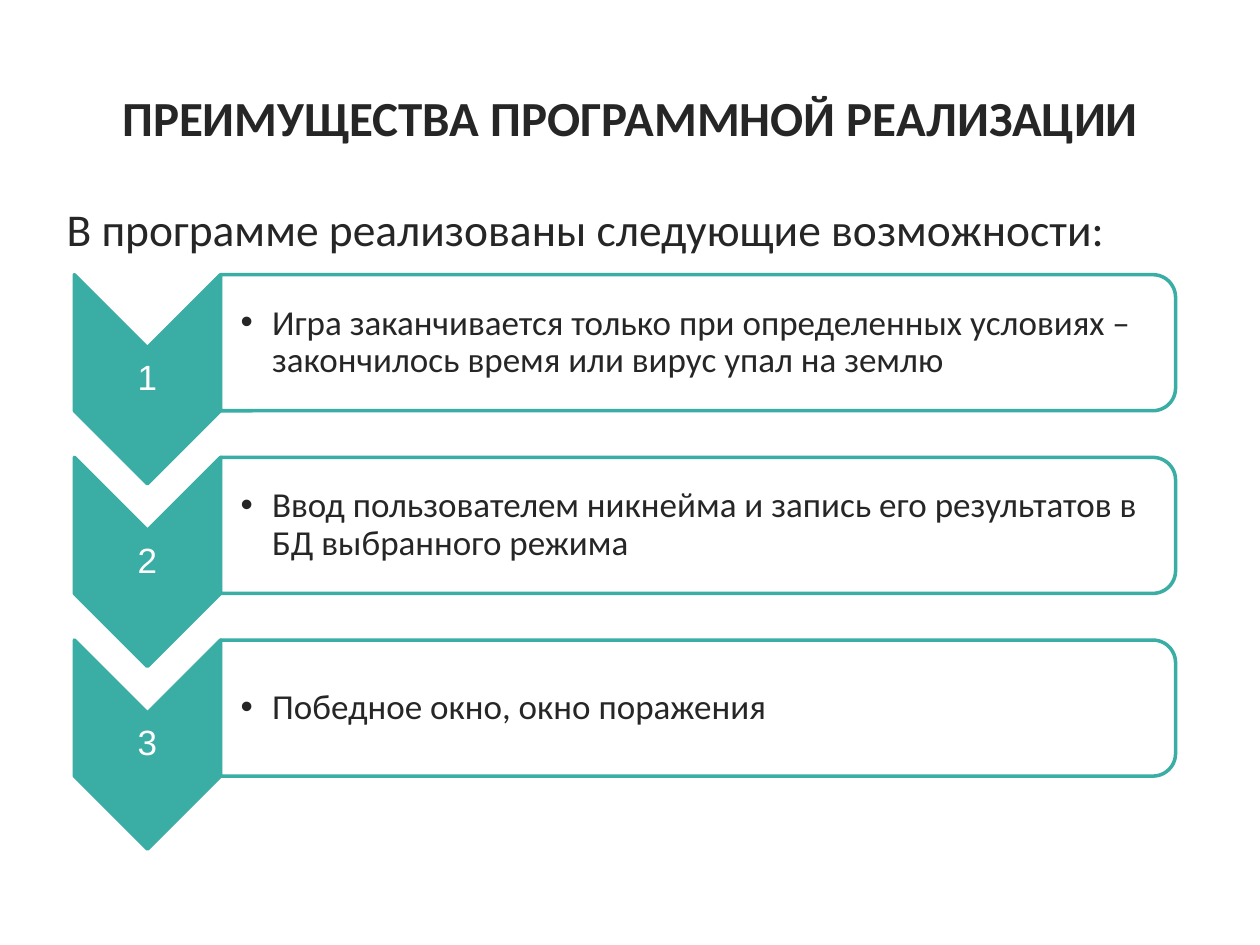
from dataclasses import dataclass

from lxml.etree import SubElement
from pptx import Presentation
from pptx.dml.color import RGBColor
from pptx.enum.shapes import MSO_SHAPE
from pptx.enum.text import MSO_ANCHOR, PP_ALIGN
from pptx.oxml.ns import qn
from pptx.util import Inches, Pt


@dataclass(frozen=True)
class Theme:
    teal: RGBColor = RGBColor(0x3A, 0xAD, 0xA5)
    ink: RGBColor = RGBColor(0x26, 0x26, 0x26)
    white: RGBColor = RGBColor(0xFF, 0xFF, 0xFF)
    text_font: str = "Calibri"
    number_font: str = "Arial"
    title_size: int = 28
    lead_size: int = 26
    step_size: int = 20
    outline: int = 2


THEME = Theme()
STEPS = [
    "Игра заканчивается только при определенных условиях – закончилось время или вирус упал на землю",
    "Ввод пользователем никнейма и запись его результатов в БД выбранного режима",
    "Победное окно, окно поражения",
]


def apply(target, values):
    for name, value in values.items():
        setattr(target, name, value)


def add_text(page, box, text, font, frame_format=None, para_format=None):
    frame = page.shapes.add_textbox(*map(Inches, box)).text_frame
    apply(frame, {"word_wrap": True, **(frame_format or {})})
    para = frame.paragraphs[0]
    apply(para, para_format or {})
    span = para.add_run()
    span.text = text
    color = font.pop("color")
    apply(span.font, font)
    span.font.color.rgb = color
    return para


def add_turned_shape(page, kind, box, fill):
    left, top, width, height = box
    shift = (width - height) / 2
    shape = page.shapes.add_shape(
        kind, *map(Inches, (left + shift, top - shift, height, width)))
    shape.rotation = 90
    shape.shadow.inherit = False
    shape.fill.solid()
    shape.fill.fore_color.rgb = fill
    shape.line.color.rgb = THEME.teal
    shape.line.width = Pt(THEME.outline)
    return shape


def add_bullet(para, indent):
    properties = para._p.get_or_add_pPr()
    properties.set("marL", str(Inches(indent)))
    properties.set("indent", str(-Inches(indent)))
    SubElement(properties, qn("a:buFont")).set("typeface", THEME.number_font)
    SubElement(properties, qn("a:buChar")).set("char", "•")


def add_title(page, box):
    add_text(page, box, "ПРЕИМУЩЕСТВА ПРОГРАММНОЙ РЕАЛИЗАЦИИ",
             {"size": Pt(THEME.title_size), "name": THEME.text_font,
              "bold": True, "color": THEME.ink},
             {"vertical_anchor": MSO_ANCHOR.MIDDLE},
             {"alignment": PP_ALIGN.CENTER})


def add_lead(page, box):
    add_text(page, box, "В программе реализованы следующие возможности:",
             {"size": Pt(THEME.lead_size), "name": THEME.text_font,
              "color": THEME.ink},
             para_format={"space_before": Pt(THEME.lead_size * 0.2)})


def add_step(page, box, number, text):
    left, top, width, height = box
    arrow_width, panel_height = 1.16, 1.08
    panel_left, panel_width = left + arrow_width, width - arrow_width
    margin = Inches(0.01)
    frame_format = {"vertical_anchor": MSO_ANCHOR.MIDDLE,
                    "margin_left": margin, "margin_right": margin,
                    "margin_top": margin, "margin_bottom": margin}

    add_turned_shape(page, MSO_SHAPE.CHEVRON,
                     (left, top, arrow_width, height), THEME.teal)
    add_text(page, (left, top + arrow_width / 2, arrow_width, 0.5), str(number),
             {"size": Pt(THEME.step_size), "name": THEME.number_font,
              "color": THEME.white},
             frame_format,
             {"alignment": PP_ALIGN.CENTER, "line_spacing": 0.9})

    panel = add_turned_shape(page, MSO_SHAPE.ROUND_2_SAME_RECTANGLE,
                             (panel_left, top, panel_width, panel_height),
                             THEME.white)
    color = panel.fill._xPr.find(".//" + qn("a:srgbClr"))
    SubElement(color, qn("a:alpha")).set("val", "90000")
    para = add_text(page,
                    (panel_left, top + 0.05, panel_width - 0.06, panel_height - 0.1),
                    text,
                    {"size": Pt(THEME.step_size), "name": THEME.text_font,
                     "color": THEME.ink},
                    {**frame_format, "margin_left": Inches(0.16)},
                    {"level": 1, "line_spacing": 0.9})
    add_bullet(para, 0.25)


def add_steps(page, box, pitch):
    left, top, width, height = box
    for index, text in enumerate(STEPS):
        add_step(page, (left, top + index * pitch, width, height), index + 1, text)


deck = Presentation()
apply(deck, {"slide_width": Inches(10), "slide_height": Inches(7.5)})
page = deck.slides.add_slide(deck.slide_layouts[6])
add_title(page, (0.5, 0.3, 9, 1.25))
add_lead(page, (0.43, 1.55, 9, 0.9))
add_steps(page, (0.59, 2.18, 8.74, 1.66), 1.45)
deck.save("out.pptx")
